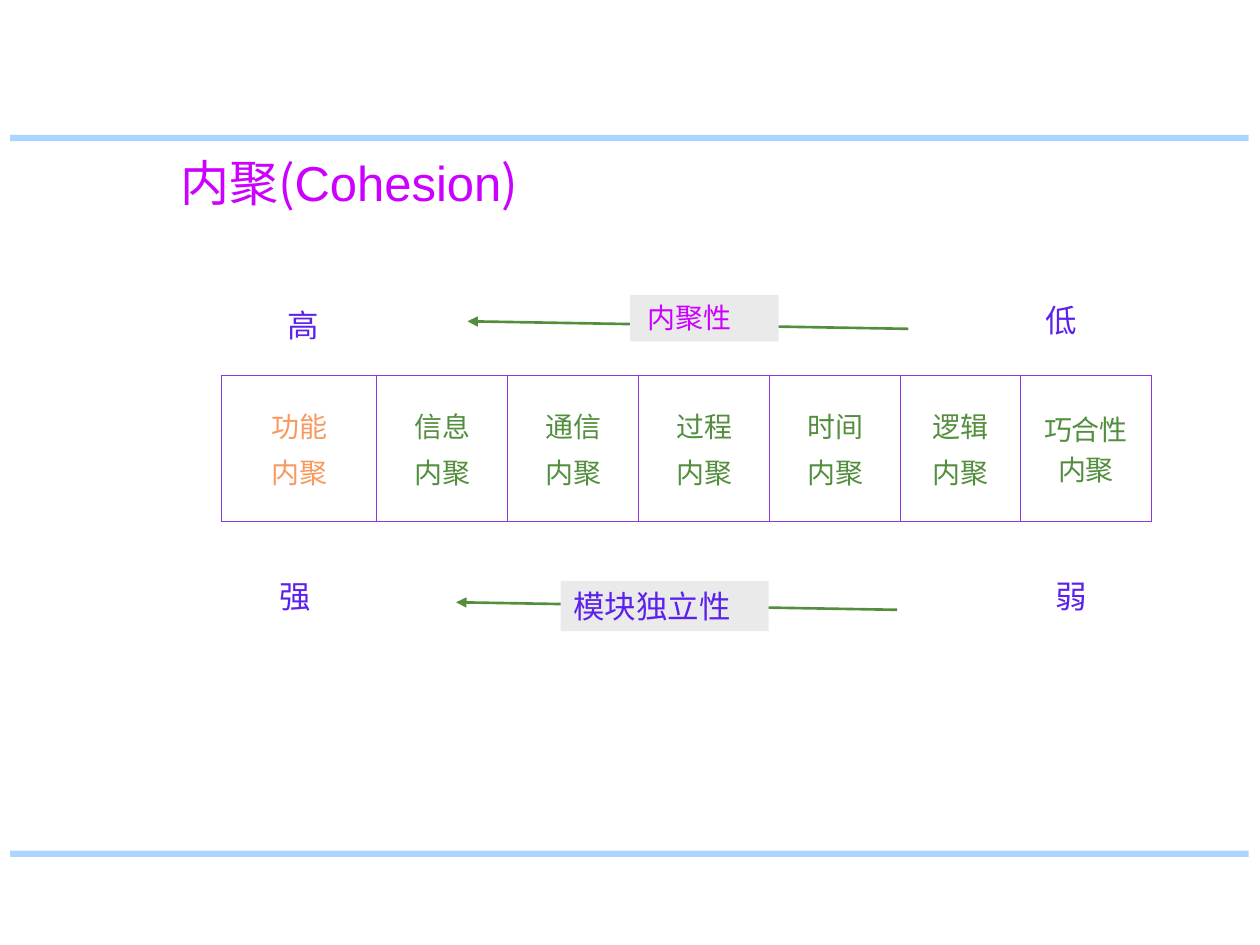
from lxml.etree import SubElement
from pptx import Presentation
from pptx.dml.color import RGBColor
from pptx.enum.shapes import MSO_CONNECTOR, MSO_SHAPE
from pptx.enum.text import MSO_ANCHOR, MSO_AUTO_SIZE, PP_ALIGN
from pptx.oxml.ns import qn
from pptx.util import Inches, Pt

COLORS = {
    "bar": "ADD6FF",
    "magenta": "CC00FF",
    "indigo": "5C22EC",
    "green": "538E3E",
    "orange": "F89A60",
    "border": "8736E8",
    "plate": "EAEAEA",
}
CHINESE_FONT = "Noto Sans CJK SC"
GRID_COLUMNS, GRID_ROWS = 100, 75
SLIDE_WIDTH, SLIDE_HEIGHT = Inches(10), Inches(7.5)


def color(name):
    return RGBColor.from_string(COLORS[name])


def grid(left, top, *size):
    units = (SLIDE_WIDTH / GRID_COLUMNS, SLIDE_HEIGHT / GRID_ROWS) * 2
    return [round(value * unit) for value, unit in zip((left, top, *size), units)]


def add_run(paragraph, text, size, color_name, font_name="Arial"):
    run = paragraph.add_run()
    run.text = text
    run.font.size = Pt(size)
    run.font.name = font_name
    run.font.color.rgb = color(color_name)
    SubElement(run.font._element, qn("a:ea"), typeface=CHINESE_FONT)


def add_bars(slide, box, height):
    left, top, width, bottom = box
    for bar_top in (top, bottom - height):
        bar = slide.shapes.add_shape(MSO_SHAPE.RECTANGLE, *grid(left, bar_top, width, height))
        bar.shadow.inherit = False
        bar.fill.solid()
        bar.fill.fore_color.rgb = color("bar")
        bar.line.fill.background()


def add_title(slide, box):
    title = slide.shapes.title
    title.left, title.top, title.width, title.height = grid(*box)
    frame = title.text_frame
    frame.auto_size = MSO_AUTO_SIZE.NONE
    frame.word_wrap = True
    frame.vertical_anchor = MSO_ANCHOR.MIDDLE
    paragraph = frame.paragraphs[0]
    paragraph.alignment = PP_ALIGN.LEFT
    for text, font_name in (("内聚(", CHINESE_FONT), ("Cohesion", "Arial"), (")", CHINESE_FONT)):
        add_run(paragraph, text, 28, "magenta", font_name)


def add_label(slide, box, text, size=18, color_name="indigo", plate=False, inset=0.1):
    if plate:
        label = slide.shapes.add_shape(MSO_SHAPE.RECTANGLE, *grid(*box))
        label.shadow.inherit = False
        label.fill.solid()
        label.fill.fore_color.rgb = color("plate")
        label.line.fill.background()
    else:
        label = slide.shapes.add_textbox(*grid(*box))
    frame = label.text_frame
    frame.word_wrap = True
    frame.auto_size = MSO_AUTO_SIZE.SHAPE_TO_FIT_TEXT
    frame.vertical_anchor = MSO_ANCHOR.TOP
    frame.margin_left = Inches(inset)
    paragraph = frame.paragraphs[0]
    paragraph.alignment = PP_ALIGN.LEFT
    add_run(paragraph, text, size, color_name)


def add_arrow(slide, left, top):
    arrow = slide.shapes.add_connector(
        MSO_CONNECTOR.STRAIGHT, *grid(left, top, left + 35, top + 0.6)
    )
    arrow.line.color.rgb = color("green")
    arrow.line.width = Pt(1.5)
    SubElement(arrow.line._get_or_add_ln(), qn("a:headEnd"), type="triangle")
    SubElement(arrow._element.spPr, qn("a:effectLst"))


def add_scale(slide, origin, strong, weak, arrow, plate, plate_style):
    left, top = origin
    for text, column, row in (strong, weak):
        add_label(slide, (left + column, top + row, 5.1, 4), text)
    add_arrow(slide, left + arrow[0], top + arrow[1])
    column, row, width, height = plate
    add_label(slide, (left + column, top + row, width, height), plate=True, **plate_style)


def style_cell(cell):
    cell.fill.background()
    cell.vertical_anchor = MSO_ANCHOR.MIDDLE
    properties = cell._tc.get_or_add_tcPr()
    for index, side in enumerate(("lnL", "lnR", "lnT", "lnB")):
        border = properties.makeelement(qn(f"a:{side}"), {"w": str(Pt(1))})
        fill = SubElement(border, qn("a:solidFill"))
        SubElement(fill, qn("a:srgbClr"), val=COLORS["border"])
        properties.insert(index, border)


def add_cohesion_table(slide, box):
    kinds = ("功能", "信息", "通信", "过程", "时间", "逻辑")
    entries = [(kind, "内聚") for kind in kinds] + [("巧合性内聚",)]
    widths = (12.3, 10.4, 10.4, 10.4, 10.4, 9.5, 10.4)
    table = slide.shapes.add_table(1, len(entries), *grid(*box)).table
    table.first_row = False
    table.horz_banding = False
    for index, (lines, width) in enumerate(zip(entries, widths)):
        table.columns[index].width = round(SLIDE_WIDTH * width / GRID_COLUMNS)
        cell = table.cell(0, index)
        style_cell(cell)
        frame = cell.text_frame
        for number, line in enumerate(lines):
            paragraph = frame.add_paragraph() if number else frame.paragraphs[0]
            paragraph.alignment = PP_ALIGN.CENTER
            if number:
                paragraph.space_before = Pt(3)
            add_run(paragraph, line, 16, "green" if index else "orange", "Times New Roman")


def main():
    presentation = Presentation()
    presentation.slide_width, presentation.slide_height = SLIDE_WIDTH, SLIDE_HEIGHT
    slide = presentation.slides.add_slide(presentation.slide_layouts[5])
    add_bars(slide, (0.8, 10.7, 98.3, 68), 0.5)
    add_title(slide, (13.3, 10.9, 32, 7))
    add_scale(
        slide, (21.2, 23.4), ("高", 0.6, 0.4), ("低", 60.8, 0), (15.9, 2.1),
        (28.8, 0, 11.8, 3.7),
        {"text": "内聚性", "size": 16, "color_name": "magenta", "inset": 0.14},
    )
    add_cohesion_table(slide, (17.6, 29.8, 73.9, 11.6))
    add_scale(
        slide, (21.2, 45.3), ("强", 0, 0), ("弱", 61.6, 0), (15, 2.5),
        (23.3, 0.8, 16.5, 4), {"text": "模块独立性"},
    )
    presentation.save("out.pptx")


if __name__ == "__main__":
    main()
